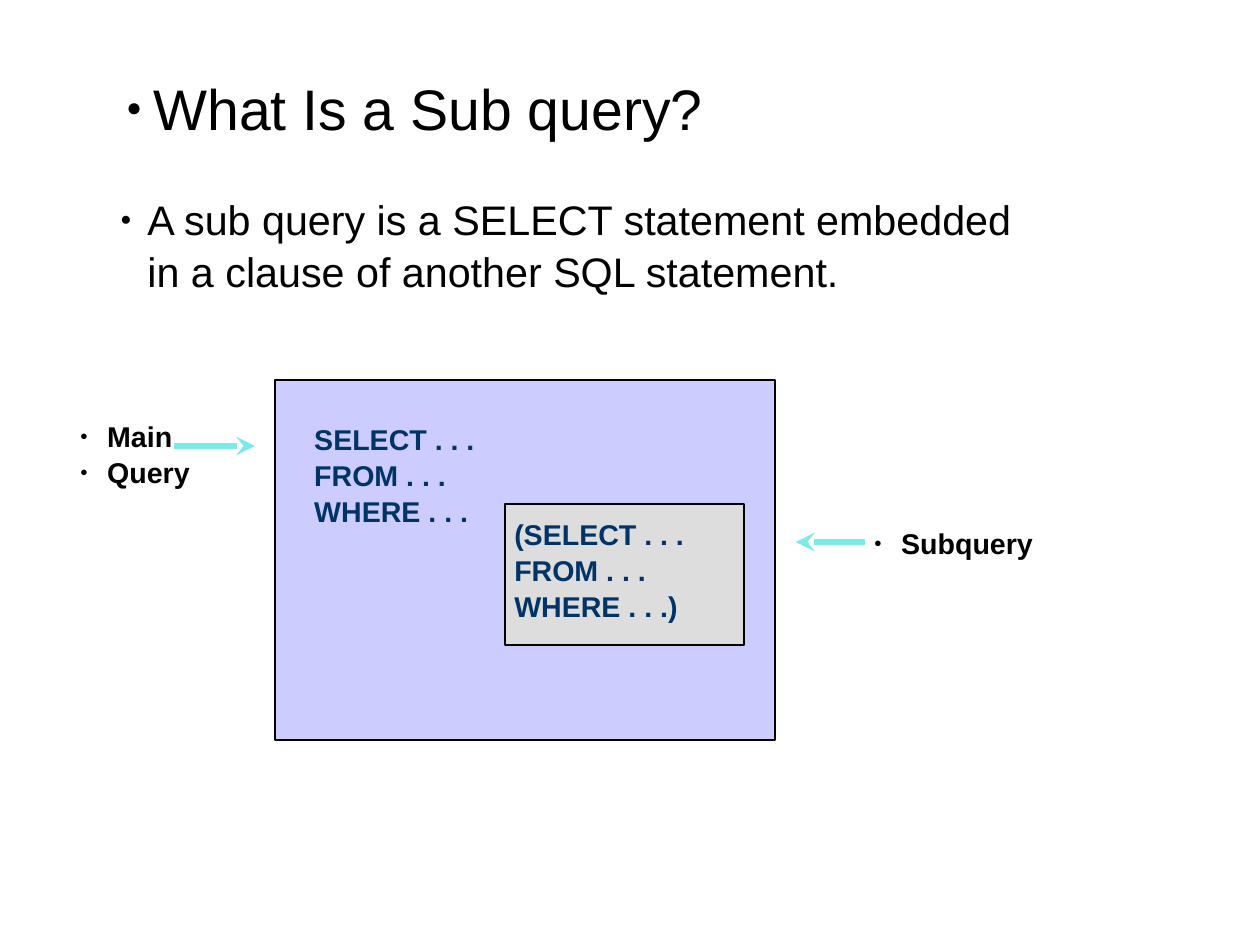
from lxml import etree
from pptx import Presentation
from pptx import util as u
from pptx.dml.color import RGBColor
from pptx.enum import shapes, text
from pptx.oxml import ns

EMU_PER_PX = 8000
FONT = "Arial"
BLACK, NAVY, CYAN = "000000", "003366", "7BEAEA"
BULLET_INDENT = 27


def px(length):
    return u.Emu(length * EMU_PER_PX)


def color(hex_string):
    return RGBColor.from_string(hex_string)


def add_bullet(paragraph):
    properties = paragraph._p.get_or_add_pPr()
    properties.set("marL", str(px(BULLET_INDENT)))
    properties.set("indent", str(-px(BULLET_INDENT)))
    for tag, name, value in (("a:buSzPct", "val", "45000"),
                             ("a:buFont", "typeface", FONT),
                             ("a:buChar", "char", "●")):
        etree.SubElement(properties, ns.qn(tag)).set(name, value)


def write_lines(shape, lines, size, hex_color=BLACK, bold=False, bullets=False):
    frame = shape.text_frame
    frame.auto_size = text.MSO_AUTO_SIZE.NONE
    frame.vertical_anchor = text.MSO_ANCHOR.TOP
    for index, line in enumerate(lines):
        paragraph = frame.add_paragraph() if index else frame.paragraphs[0]
        paragraph.alignment = text.PP_ALIGN.LEFT
        paragraph.line_spacing = 1.05
        paragraph.space_before = u.Pt(0)
        if bullets:
            add_bullet(paragraph)
        run = paragraph.add_run()
        run.text = line
        run.font.name = FONT
        run.font.size = u.Pt(size)
        run.font.bold = bold
        run.font.color.rgb = color(hex_color)


def fill_placeholder(shape, box, line, size):
    shape.left, shape.top, shape.width, shape.height = map(px, box)
    write_lines(shape, [line], size, bullets=True)
    shape.text_frame.word_wrap = True


def add_panel(slide, box, fill):
    panel = slide.shapes.add_shape(shapes.MSO_SHAPE.RECTANGLE, *map(px, box))
    panel.shadow.inherit = False
    panel.fill.solid()
    panel.fill.fore_color.rgb = color(fill)
    panel.line.color.rgb = color(BLACK)
    panel.line.width = u.Pt(1)


def add_bold_text(slide, box, lines, hex_color=BLACK, bullets=False):
    text_box = slide.shapes.add_textbox(*map(px, box))
    write_lines(text_box, lines, 18, hex_color, bold=True, bullets=bullets)
    text_box.text_frame.word_wrap = False


def add_arrow(slide, start_x, end_x, y):
    arrow = slide.shapes.add_connector(
        shapes.MSO_CONNECTOR.STRAIGHT, px(start_x), px(y), px(end_x), px(y))
    arrow.line.color.rgb = color(CYAN)
    arrow.line.width = u.Pt(4)
    line = arrow.line._get_or_add_ln()
    etree.SubElement(line, ns.qn("a:tailEnd")).set("type", "stealth")
    etree.SubElement(arrow._element.spPr, ns.qn("a:effectLst"))


def main():
    presentation = Presentation()
    presentation.slide_width, presentation.slide_height = px(1260), px(945)
    slide = presentation.slides.add_slide(presentation.slide_layouts[1])

    fill_placeholder(slide.shapes.title, (115, 64, 912, 110),
                     "What Is a Sub query?", 36)
    fill_placeholder(slide.placeholders[1], (109, 186, 925, 163),
                     "A sub query is a SELECT statement embedded "
                     "in a clause of another SQL statement.", 26)

    add_panel(slide, (275, 380, 500, 360), "CCCCFF")
    add_bold_text(slide, (303, 415, 202, 114),
                  ["SELECT . . .", "FROM . . .", "WHERE . . ."], NAVY)
    add_panel(slide, (505, 504, 239, 141), "DDDDDD")
    add_bold_text(slide, (503, 510, 203, 114),
                  ["(SELECT . . .", "FROM . . .", "WHERE . . .)"], NAVY)

    add_bold_text(slide, (69, 412, 132, 80), ["Main", "Query"], bullets=True)
    add_bold_text(slide, (863, 519, 182, 46), ["Subquery"], bullets=True)
    add_arrow(slide, 174, 255, 446)
    add_arrow(slide, 865, 796, 542)

    presentation.save("out.pptx")


if __name__ == "__main__":
    main()
